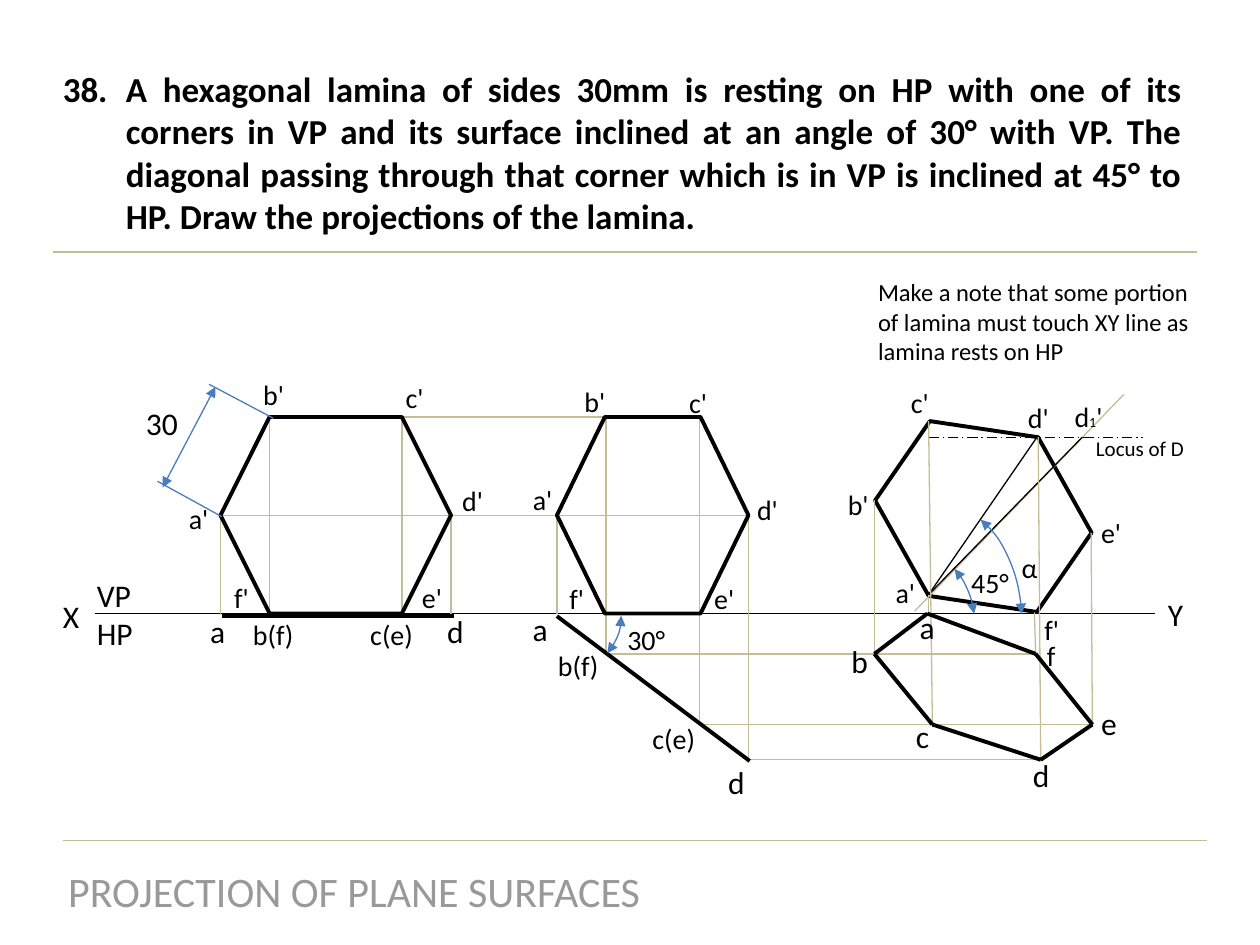
from dataclasses import dataclass
from typing import Any

from lxml import etree
from pptx import Presentation
from pptx import util as u
from pptx.dml.color import RGBColor
from pptx.enum import dml, shapes, text
from pptx.oxml.ns import qn

# Grid of 100 columns by 75 rows
COLUMNS, ROWS = 100, 75
CELL = u.Inches(0.1)
FONT = "Calibri"
COLORS = {"ink": "000000", "guide": "C4BD97", "dimension": "4A7DBB", "footer": "999999"}
THIN, THICK = 0.75, 2.25
LABEL_WIDTHS = {1: 3.4, 2: 3.8, 3: 5.5, 4: 5.7}  # columns by number of letters


def cells(*values):
    return [u.Emu(round(value * CELL)) for value in values]


def style_line(shape, color, weight, arrows=False):
    shape.line.color.rgb = RGBColor.from_string(COLORS[color])
    shape.line.width = u.Pt(weight)
    if arrows:
        outline = shape._element.spPr.find(qn("a:ln"))
        for end in ("a:headEnd", "a:tailEnd"):
            etree.SubElement(outline, qn(end), type="triangle")


@dataclass
class Region:
    """A box on the slide grid; parts are placed from its top left corner."""
    slide: Any
    left: float
    top: float
    width: float = 0
    height: float = 0

    def line(self, x1, y1, x2, y2, color="guide", weight=THIN, arrows=False):
        ends = cells(self.left + x1, self.top + y1, self.left + x2, self.top + y2)
        connector = self.slide.shapes.add_connector(shapes.MSO_CONNECTOR.STRAIGHT, *ends)
        style_line(connector, color, weight, arrows)
        etree.SubElement(connector._element.spPr, qn("a:effectLst"))
        return connector

    def outline(self, kind, x, y, width, height, rotation=0, color="ink",
                weight=THICK, arrows=False):
        box = cells(self.left + x, self.top + y, width, height)
        shape = self.slide.shapes.add_shape(kind, *box)
        shape.shadow.inherit = False
        shape.fill.background()
        shape.rotation = rotation
        style_line(shape, color, weight, arrows)
        return shape

    def hexagon(self, x, y, width, height, rotation=0):
        return self.outline(shapes.MSO_SHAPE.HEXAGON, x, y, width, height, rotation)

    def angle_arc(self, x, y, width, height, rotation, start, end):
        arc = self.outline(shapes.MSO_SHAPE.ARC, x, y, width, height, rotation,
                           "dimension", THIN, arrows=True)
        for index, degrees in enumerate((start, end)):
            arc.adjustments[index] = degrees * 0.6

    def label(self, words, x, y, size=16, width=None, height=None, color="ink",
              bold=False, align=text.PP_ALIGN.LEFT):
        width = width or LABEL_WIDTHS[len(words)]
        height = height or (4 if size == 18 else 3.7)
        box = cells(self.left + x, self.top + y, width, height)
        frame = self.slide.shapes.add_textbox(*box).text_frame
        frame.word_wrap = True
        frame.text = words
        for paragraph in frame.paragraphs:
            paragraph.alignment = align
            font = paragraph.font
            font.name, font.size, font.bold = FONT, u.Pt(size), bold
            font.color.rgb = RGBColor.from_string(COLORS[color])
        return frame

    def labels(self, items, size=16):
        for words, x, y in items:
            self.label(words, x, y, size)


def problem_statement(region):
    frame = region.label(
        "A hexagonal lamina of sides 30mm is resting on HP with one of its corners in VP "
        "and its surface inclined at an angle of 30° with VP. The diagonal passing through "
        "that corner which is in VP is inclined at 45° to HP. Draw the projections of the "
        "lamina.", 0, 0, 20, region.width, region.height, bold=True,
        align=text.PP_ALIGN.JUSTIFY)
    # Numbered from 38 with a hanging indent
    properties = frame.paragraphs[0]._p.get_or_add_pPr()
    properties.set("marL", str(u.Inches(0.5)))
    properties.set("indent", str(-u.Inches(0.5)))
    number = etree.Element(qn("a:buAutoNum"), type="arabicPeriod", startAt="38")
    properties.find(qn("a:defRPr")).addprevious(number)
    region.line(0.2, 15.1, region.width + 0.2, 15.1)


def footer(region):
    region.line(0.8, 0, region.width, 0)
    region.label("PROJECTION OF PLANE SURFACES", 0, 1.5, 24, 47.8, 5, "footer",
                 align=text.PP_ALIGN.CENTER)


def reference_line(region):
    region.line(3.5, 1.8, region.width - 3.2, 1.8, "ink")
    region.labels([("X", 0, 0), ("Y", region.width - 3.2, -0.2)], 18)
    region.label("VP\nHP", 2.7, -1.7, 18, 4.9, 7.1)


def shared_projectors(region):
    """Horizontal guides that run from one view to the next."""
    for start, end, row in ((14.4, 38.1, 0), (0, 41.9, 7.8), (30.5, 64.7, 18.8),
                            (38.1, 69.2, 24.4), (42, 65.1, 27.2)):
        region.line(start, row, end, row)


def front_view(region, depths, label_places):
    """Upright hexagon; depths are how far the a, b, c, d projectors pass its base."""
    width, height = region.width, region.height
    inset = height / 4
    columns = (0, inset, width - inset, width)
    tops = (height / 2, 0, 0, height / 2)
    for x, top, depth in zip(columns, tops, depths):
        region.line(x, top, x, height + depth)
    region.hexagon(0, 0, width, height)
    for letter, (x, y) in zip("abcdef", label_places):
        region.label(letter + "'", x, y)


def first_stage(region):
    front_view(region, (0.1, 0, 0, 0.1), [(-3.5, 6.2), (2.4, -3.6), (13.7, -3.4),
                                          (18.2, 4.8), (15, 12.5), (0.1, 12.5)])
    # Edge view on the reference line
    region.line(0.1, 15.8, 18.5, 15.8, "ink", THICK)
    region.labels([("a", -1.8, 15), ("d", 17, 15)], 18)
    region.labels([("b(f)", 1.6, 15.4), ("c(e)", 10.9, 15.4)])
    # Side length dimension
    region.line(-0.4, -2.4, -4.6, 5.6, "dimension", arrows=True)
    region.line(-0.9, -2.6, 4.2, 0.1, "dimension")
    region.line(-5, 5.1, 0.1, 7.9, "dimension")
    region.label("30", -6.9, -1.5, 18, 4.6)


def second_stage(region):
    front_view(region, (0, 3.2, 8.9, 11.6), [(-2.9, 4.7), (1.2, -3.1), (9.5, -3),
                                             (14.9, 5.5), (11.5, 12.6), (0, 12.6)])
    # Inclined edge view
    region.line(0, 15.8, 15.3, 27.3, "ink", THICK)
    region.labels([("a", -2.9, 14.8), ("d", 12.6, 27)], 18)
    region.labels([("b(f)", -0.9, 17.9), ("c(e)", 6.6, 23.7), ("30°", 4.6, 15.8)])
    region.angle_arc(-2.4, 12.5, 6.7, 9.2, 51.4, 290.78, 336.92)


def final_stage(region):
    # Tilted front view
    region.hexagon(1, -0.2, 15.3, 15.6, 304.6)
    corner = (4.3, 13.8)
    region.line(3.2, 15.1, 19.8, -2.1)
    region.line(*corner, 16.5, 1.3, "ink")
    region.line(*corner, 12.9, 1.3, "ink")
    locus = region.line(4.3, 1.3, 21.3, 1.3, "ink")
    locus.line.dash_style = dml.MSO_LINE.LONG_DASH_DOT
    # Vertical projectors
    for ends in ((0, 18.5, 0, 6.3), (4.6, 24.2, 4.3, 0), (*corner, 4.3, 15.3),
                 (13.2, 27, 13, 1.3), (12.8, 18.6, 12.7, 15.2), (17.3, 24.3, 17.2, 8.9)):
        region.line(*ends)
    # Top view
    points = [(4.2, 15.3), (0, 18.5), (4.6, 24.1), (13.2, 26.9), (17.3, 24.1), (12.8, 18.5)]
    for start, end in zip(points, points[1:] + points[:1]):
        region.line(*start, *end, "ink", THICK)
    # Corner labels
    region.labels([("a'", 0.7, 11.8), ("b'", -3.1, 4.8), ("c'", 1.9, -3.3),
                   ("d'", 11.2, -2.1), ("e'", 17, 7), ("f'", 12.5, 14.7), ("f", 12.7, 16.8)])
    region.labels([("a", 2.6, 14.4), ("b", -2.8, 17.1), ("c", 2.3, 23),
                   ("d", 11.6, 26.1), ("e", 17, 22)], 18)
    paragraph = region.label("d", 14.9, -2.2, width=4.4).paragraphs[0]
    for words, size in (("1", 8), ("'", 16)):
        run = paragraph.add_run()
        run.text, run.font.size = words, u.Pt(size)
    region.label("Locus of D", 16.6, 0.7, 12, 9.3, 3)
    # Angles
    region.angle_arc(0.4, 6.8, 11.3, 17.6, 356.5, 290.6, 0.73)
    region.angle_arc(0.4, 10.6, 7.6, 11.2, 356.5, 299.55, 350.01)
    region.labels([("45°", 6.7, 11), ("α", 10.7, 9.8)])


def note(region):
    region.label("Make a note that some portion of lamina must touch XY line as lamina "
                 "rests on HP", 0, 0, 14, region.width, region.height)


def main():
    presentation = Presentation()
    presentation.slide_width, presentation.slide_height = cells(COLUMNS, ROWS)
    slide = presentation.slides.add_slide(presentation.slide_layouts[6])
    problem_statement(Region(slide, 4, 4.9, 90.8, 14.5))
    footer(Region(slide, 4.2, 66.7, 91.6, 6.5))
    reference_line(Region(slide, 4, 46.9, 90.9, 4))
    shared_projectors(Region(slide, 17.5, 33.1))
    first_stage(Region(slide, 17.5, 33.1, 18.3, 15.6))
    second_stage(Region(slide, 44.2, 33.1, 15.2, 15.6))
    final_stage(Region(slide, 69.4, 33.4, 17.3, 26.9))
    note(Region(slide, 68.7, 21.5, 27.2, 8.1))
    presentation.save("out.pptx")


if __name__ == "__main__":
    main()
